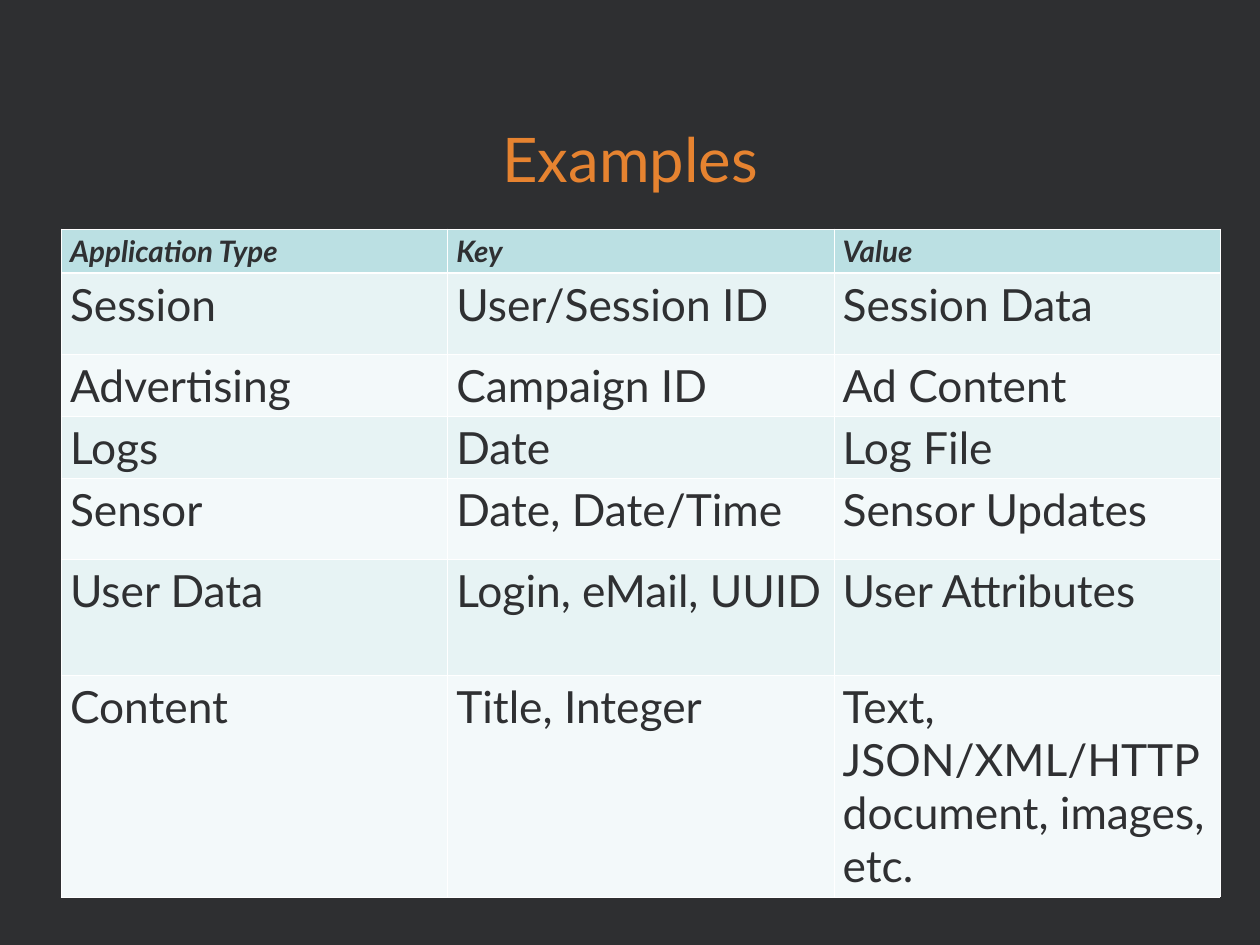
from dataclasses import dataclass

from lxml import etree
from pptx import Presentation
from pptx import util as u
from pptx.dml.color import RGBColor
from pptx.enum import text
from pptx.oxml import ns


@dataclass(frozen=True)
class Theme:
    font: str = "Lato"
    background: str = "2E2F31"
    title: str = "E68330"
    ink: str = "2F3032"
    header_fill: str = "BBE0E3"
    band_fills: tuple = ("E7F3F4", "F3F9FA")
    border: str = "FFFFFF"
    title_size: float = 50
    header_size: float = 24
    body_size: float = 36
    thin_line: float = 0.45
    thick_line: float = 1.47


THEME = Theme()
SLIDE_SIZE = (1024, 768)
TITLE_BOX = (408.24, 98, 225.5, 60)
TABLE_BOX = (49.7, 186, 942, 543)
ROW_HEIGHTS = (36, 66, 50.4, 50.4, 66, 94, 180)
ROWS = (
    ("Application Type", "Key", "Value"),
    ("Session", "User/Session ID", "Session Data"),
    ("Advertising", "Campaign ID", "Ad Content"),
    ("Logs", "Date", "Log File"),
    ("Sensor", "Date, Date/Time", "Sensor Updates"),
    ("User Data", "Login, eMail, UUID", "User Attributes"),
    ("Content", "Title, Integer", "Text, JSON/XML/HTTP document, images, etc."),
)


def write_text(frame, words, *, size, color, bold=False, italic=False):
    frame.word_wrap = True
    paragraph = frame.paragraphs[0]
    paragraph.alignment = text.PP_ALIGN.LEFT
    run = paragraph.add_run()
    run.text = words
    font = run.font
    font.name = THEME.font
    font.size = u.Pt(size)
    font.bold = bold
    font.italic = italic
    font.color.rgb = RGBColor.from_string(color)


def set_borders(cell, top, bottom):
    """Outline a cell; top and bottom are line widths in points."""
    properties = cell._tc.get_or_add_tcPr()
    widths = {"lnL": THEME.thin_line, "lnR": THEME.thin_line, "lnT": top, "lnB": bottom}
    for position, (side, width) in enumerate(widths.items()):
        line = etree.Element(ns.qn(f"a:{side}"), w=str(int(u.Pt(width))))
        fill = etree.SubElement(line, ns.qn("a:solidFill"))
        etree.SubElement(fill, ns.qn("a:srgbClr"), val=THEME.border)
        properties.insert(position, line)


def add_title(slide, box, words):
    shape = slide.shapes.add_textbox(*map(u.Pt, box))
    frame = shape.text_frame
    frame.margin_left = frame.margin_right = frame.margin_top = frame.margin_bottom = 0
    frame.vertical_anchor = text.MSO_ANCHOR.MIDDLE
    write_text(frame, words, size=THEME.title_size, color=THEME.title)


def add_examples_table(slide, box, rows, row_heights):
    column_count = len(rows[0])
    shape = slide.shapes.add_table(len(rows), column_count, *map(u.Pt, box))
    table = shape.table
    table.first_row = table.horz_banding = False
    for column in table.columns:
        column.width = u.Pt(box[2] / column_count)
    for index, (values, height) in enumerate(zip(rows, row_heights)):
        table.rows[index].height = u.Pt(height)
        header = index == 0
        fill = THEME.header_fill if header else THEME.band_fills[(index - 1) % 2]
        size = THEME.header_size if header else THEME.body_size
        for cell, words in zip(table.rows[index].cells, values):
            cell.fill.solid()
            cell.fill.fore_color.rgb = RGBColor.from_string(fill)
            set_borders(
                cell,
                top=THEME.thick_line if index == 1 else THEME.thin_line,
                bottom=THEME.thick_line if header else THEME.thin_line,
            )
            write_text(cell.text_frame, words, size=size, color=THEME.ink,
                       bold=header, italic=header)


def main():
    presentation = Presentation()
    presentation.slide_width, presentation.slide_height = map(u.Pt, SLIDE_SIZE)
    slide = presentation.slides.add_slide(presentation.slide_layouts[6])
    background = slide.background.fill
    background.solid()
    background.fore_color.rgb = RGBColor.from_string(THEME.background)
    add_title(slide, TITLE_BOX, "Examples")
    add_examples_table(slide, TABLE_BOX, ROWS, ROW_HEIGHTS)
    presentation.save("out.pptx")


if __name__ == "__main__":
    main()
